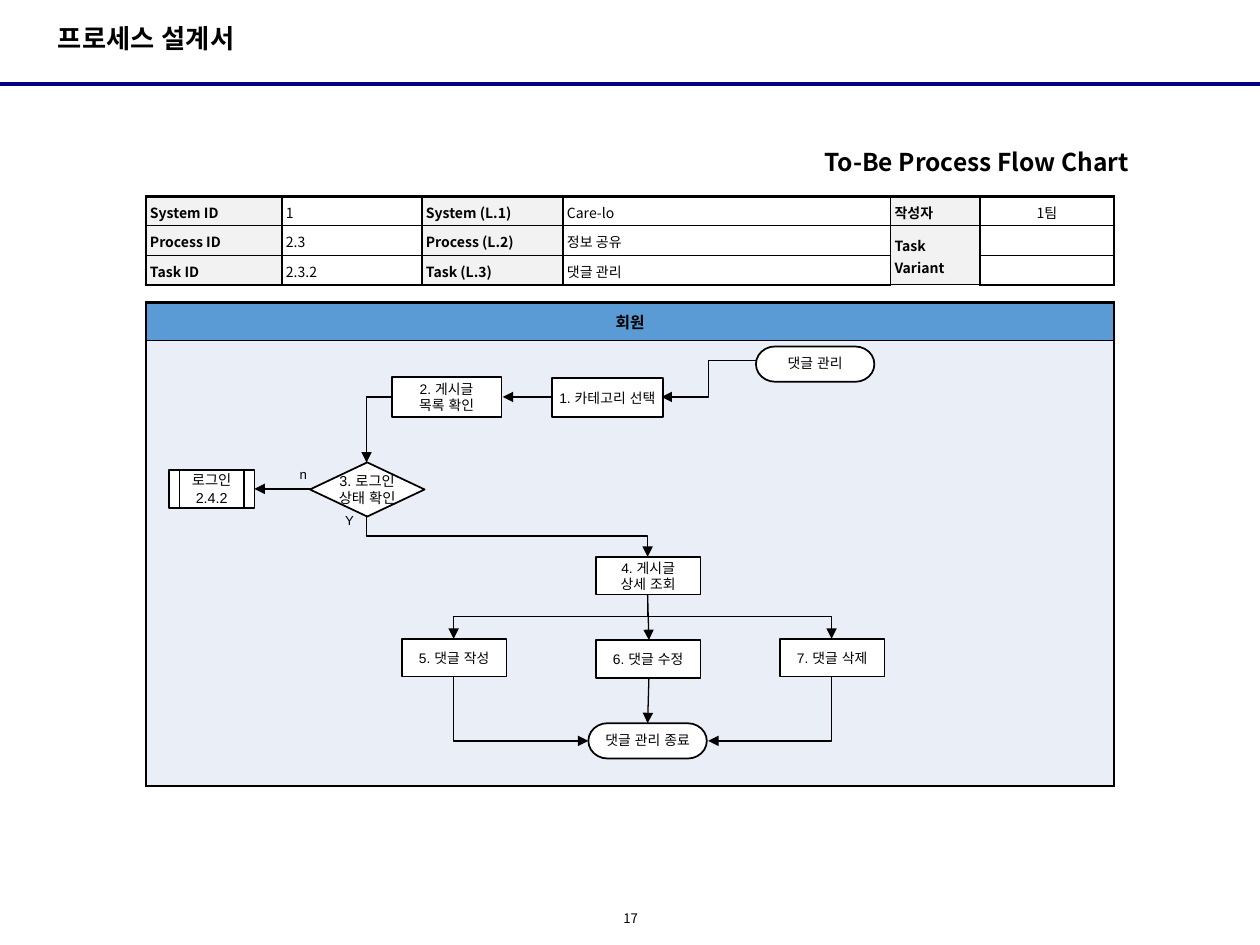
from dataclasses import dataclass

from lxml.etree import SubElement
from pptx import Presentation
from pptx.dml.color import RGBColor
from pptx.enum.shapes import MSO_CONNECTOR, MSO_SHAPE
from pptx.enum.text import MSO_ANCHOR, MSO_AUTO_SIZE, PP_ALIGN
from pptx.oxml.ns import qn
from pptx.util import Inches, Pt

COLORS = {
    "black": "000000", "white": "FFFFFF", "navy": "000080",
    "label": "F2F2F2", "header": "5B9BD5", "lane": "EAEFF7",
}
SANS = "Noto Sans CJK KR"
ARIAL = "Arial"


@dataclass
class Step:
    text: str
    left: float
    top: float
    width: float = 0.83
    height: float = 0.3
    kind: MSO_SHAPE = MSO_SHAPE.RECTANGLE
    size: float = 7.9
    spacing: float = 1.0
    wrap: bool = True


@dataclass
class Flow:
    start: tuple[float, float]
    end: tuple[float, float]
    preset: str = "line"
    vertical_first: bool = False


@dataclass
class Label:
    text: str
    left: float
    top: float
    width: float
    height: float


TERMINATOR = MSO_SHAPE.FLOWCHART_TERMINATOR
STEPS = [
    Step("댓글 관리", 6, 2.75, 0.94, 0.28, TERMINATOR, spacing=0.9),
    Step("6. 댓글 수정", 4.73, 5.08),
    Step("7. 댓글 삭제", 6.19, 5.07),
    Step("5. 댓글 작성", 3.19, 5.07),
    Step("로그인\n2.4.2", 1.34, 3.73, 0.68, 0.3, MSO_SHAPE.FLOWCHART_PREDEFINED_PROCESS, 8.2),
    Step("댓글 관리 종료", 4.67, 5.74, 0.94, 0.28, TERMINATOR, spacing=0.9),
    Step("3. 로그인\n상태 확인", 2.46, 3.67, 0.91, 0.43, MSO_SHAPE.FLOWCHART_DECISION, 8.2, wrap=False),
    Step("4. 게시글\n상세 조회", 4.73, 4.42),
    Step("2. 게시글\n목록 확인", 3.11, 2.99, 0.87, 0.32),
    Step("1. 카테고리 선택", 4.38, 3, 0.88, 0.31),
]
FLOWS = [
    Flow((6, 2.86), (5.25, 3.15), "bentConnector3"),
    Flow((3.11, 3.15), (2.91, 3.67), "bentConnector2"),
    Flow((2.46, 3.88), (2.02, 3.88)),
    Flow((2.91, 4.09), (5.14, 4.42), "bentConnector3", True),
    Flow((5.14, 4.72), (3.6, 5.07), "bentConnector3", True),
    Flow((5.14, 4.72), (6.6, 5.07), "bentConnector3", True),
    Flow((3.6, 5.37), (4.67, 5.88), "bentConnector2", True),
    Flow((6.6, 5.37), (5.62, 5.88), "bentConnector2", True),
    Flow((4.38, 3.15), (3.99, 3.15)),
    Flow((5.14, 4.72), (5.15, 5.08)),
    Flow((5.15, 5.38), (5.14, 5.74)),
]
BRANCH_LABELS = [Label("n", 2.28, 3.65, 0.25, 0.23), Label("Y", 2.64, 4.02, 0.24, 0.23)]
INFO_ROWS = [
    ["System ID", "1", "System (L.1)", "Care-lo", "작성자", "1팀"],
    ["Process ID", "2.3", "Process (L.2)", "정보 공유", "Task Variant", ""],
    ["Task ID", "2.3.2", "Task (L.3)", "댓글 관리", "", ""],
]


def color(name: str) -> RGBColor:
    return RGBColor.from_string(COLORS[name])


def write(frame, text: str, size: float, font: str = ARIAL, bold: bool = False,
          align=PP_ALIGN.LEFT, spacing: float = 1.0) -> None:
    frame.text = text
    for paragraph in frame.paragraphs:
        paragraph.alignment = align
        paragraph.line_spacing = spacing
        paragraph.font.size = Pt(size)
        paragraph.font.bold = bold
        paragraph.font.color.rgb = color("black")
        paragraph.font.name = font
        properties = paragraph._p.pPr.find(qn("a:defRPr"))
        SubElement(properties, qn("a:ea"), typeface=font)
        if not text:
            SubElement(paragraph._p, qn("a:endParaRPr"), sz=str(int(size * 100)))


def set_margins(target, horizontal: float, vertical: float) -> None:
    target.margin_left = target.margin_right = Inches(horizontal)
    target.margin_top = target.margin_bottom = Inches(vertical)


def place(shape, left: float, top: float, width: float, height: float) -> None:
    shape.left, shape.top = Inches(left), Inches(top)
    shape.width, shape.height = Inches(width), Inches(height)


def add_text(slide, label: Label, size: float, wrap: bool = True, **style):
    box = slide.shapes.add_textbox(*map(Inches, (label.left, label.top, label.width, label.height)))
    box.text_frame.word_wrap = wrap
    write(box.text_frame, label.text, size, **style)
    return box.text_frame


def add_step(slide, step: Step) -> None:
    shape = slide.shapes.add_shape(
        step.kind, *map(Inches, (step.left, step.top, step.width, step.height)))
    shape.shadow.inherit = False
    shape.fill.solid()
    shape.fill.fore_color.rgb = color("white")
    shape.line.color.rgb = color("black")
    shape.line.width = Pt(1)
    frame = shape.text_frame
    frame.word_wrap = step.wrap
    frame.vertical_anchor = MSO_ANCHOR.MIDDLE
    set_margins(frame, 0.01, 0)
    write(frame, step.text, step.size, align=PP_ALIGN.CENTER, spacing=step.spacing)


def add_line(slide, flow: Flow, line_color: str = "black", width: float = 0.75, arrow: bool = True) -> None:
    connector = slide.shapes.add_connector(
        MSO_CONNECTOR.STRAIGHT, *map(Inches, flow.start + flow.end))
    connector.line.color.rgb = color(line_color)
    connector.line.width = Pt(width)
    properties = connector._element.spPr
    properties.find(qn("a:prstGeom")).set("prst", flow.preset)
    if flow.vertical_first:
        (x1, y1), (x2, y2) = flow.start, flow.end
        run, drop = abs(x2 - x1), abs(y2 - y1)
        place(connector, (x1 + x2 - drop) / 2, (y1 + y2 - run) / 2, drop, run)
        transform = properties.find(qn("a:xfrm"))
        rightward = x2 > x1
        transform.set("rot", str((270 if rightward else 90) * 60000))
        transform.set("flipH", "1" if rightward else "0")
    if arrow:
        SubElement(properties.find(qn("a:ln")), qn("a:tailEnd"), type="triangle")
    SubElement(properties, qn("a:effectLst"))


def add_grid(slide, left: float, top: float, columns: list[float], rows: list[float], inner: float):
    table = slide.shapes.add_table(
        len(rows), len(columns), *map(Inches, (left, top, sum(columns), sum(rows)))).table
    for column, width in zip(table.columns, columns):
        column.width = Inches(width)
    for row, height in zip(table.rows, rows):
        row.height = Inches(height)
    for row in range(len(rows)):
        for column in range(len(columns)):
            properties = table.cell(row, column)._tc.get_or_add_tcPr()
            outer_sides = {"lnL": column == 0, "lnR": column == len(columns) - 1,
                           "lnT": row == 0, "lnB": row == len(rows) - 1}
            for side, is_outer in outer_sides.items():
                border = SubElement(properties, qn(f"a:{side}"), w=str(Pt(1.5 if is_outer else inner)))
                SubElement(SubElement(border, qn("a:solidFill")), qn("a:srgbClr"), val=COLORS["black"])
    return table


def fill_cell(cell, name: str) -> None:
    cell.fill.solid()
    cell.fill.fore_color.rgb = color(name)


def add_lane(slide) -> None:
    table = add_grid(slide, 1.16, 2.4, [7.68], [0.3, 3.54], 0.75)
    header, body = table.cell(0, 0), table.cell(1, 0)
    fill_cell(header, "header")
    fill_cell(body, "lane")
    set_margins(header, 0.07, 0.04)
    header.vertical_anchor = MSO_ANCHOR.MIDDLE
    write(header.text_frame, "회원", 9, SANS, True, PP_ALIGN.CENTER)


def add_info(slide) -> None:
    table = add_grid(slide, 1.16, 1.56, [1.08, 1.11, 1.12, 2.6, 0.71, 1.06], [0.23, 0.24, 0.23], 1)
    table.cell(1, 4).merge(table.cell(2, 4))
    for row, texts in enumerate(INFO_ROWS):
        for column, text in enumerate(texts):
            cell = table.cell(row, column)
            is_label = column % 2 == 0
            fill_cell(cell, "label" if is_label else "white")
            set_margins(cell, 0.03, 0.03)
            cell.vertical_anchor = MSO_ANCHOR.MIDDLE if column > 3 else MSO_ANCHOR.TOP
            align = PP_ALIGN.CENTER if column == 5 else PP_ALIGN.LEFT
            write(cell.text_frame, text, 8, SANS, is_label, align, 1.1)


def main() -> None:
    presentation = Presentation()
    presentation.slide_width, presentation.slide_height = Inches(10), Inches(7.5)
    slide = presentation.slides.add_slide(presentation.slide_layouts[5])
    title = slide.shapes.title
    place(title, 0.36, 0.13, 1.75, 0.35)
    title.text_frame.word_wrap = False
    title.text_frame.auto_size = MSO_AUTO_SIZE.NONE
    title.text_frame.vertical_anchor = MSO_ANCHOR.TOP
    write(title.text_frame, "프로세스 설계서", 15, bold=True)
    add_line(slide, Flow((0, 0.67), (10, 0.67)), "navy", 2.25, arrow=False)
    page = add_text(slide, Label("17", 4.85, 7.17, 0.31, 0.25), 7.5, False,
                    font=SANS, align=PP_ALIGN.CENTER, spacing=0.8)
    set_margins(page, 0, 0)
    page.vertical_anchor = MSO_ANCHOR.MIDDLE
    add_lane(slide)
    heading = add_text(slide, Label("To-Be Process Flow Chart", 6.48, 1.15, 2.48, 0.3), 14,
                       font=SANS, bold=True, align=PP_ALIGN.RIGHT, spacing=0.9)
    set_margins(heading, 0, 0.04)
    add_info(slide)
    for step in STEPS:
        add_step(slide, step)
    for label in BRANCH_LABELS:
        add_text(slide, label, 7.5)
    for flow in FLOWS:
        add_line(slide, flow)
    presentation.save("out.pptx")


if __name__ == "__main__":
    main()
